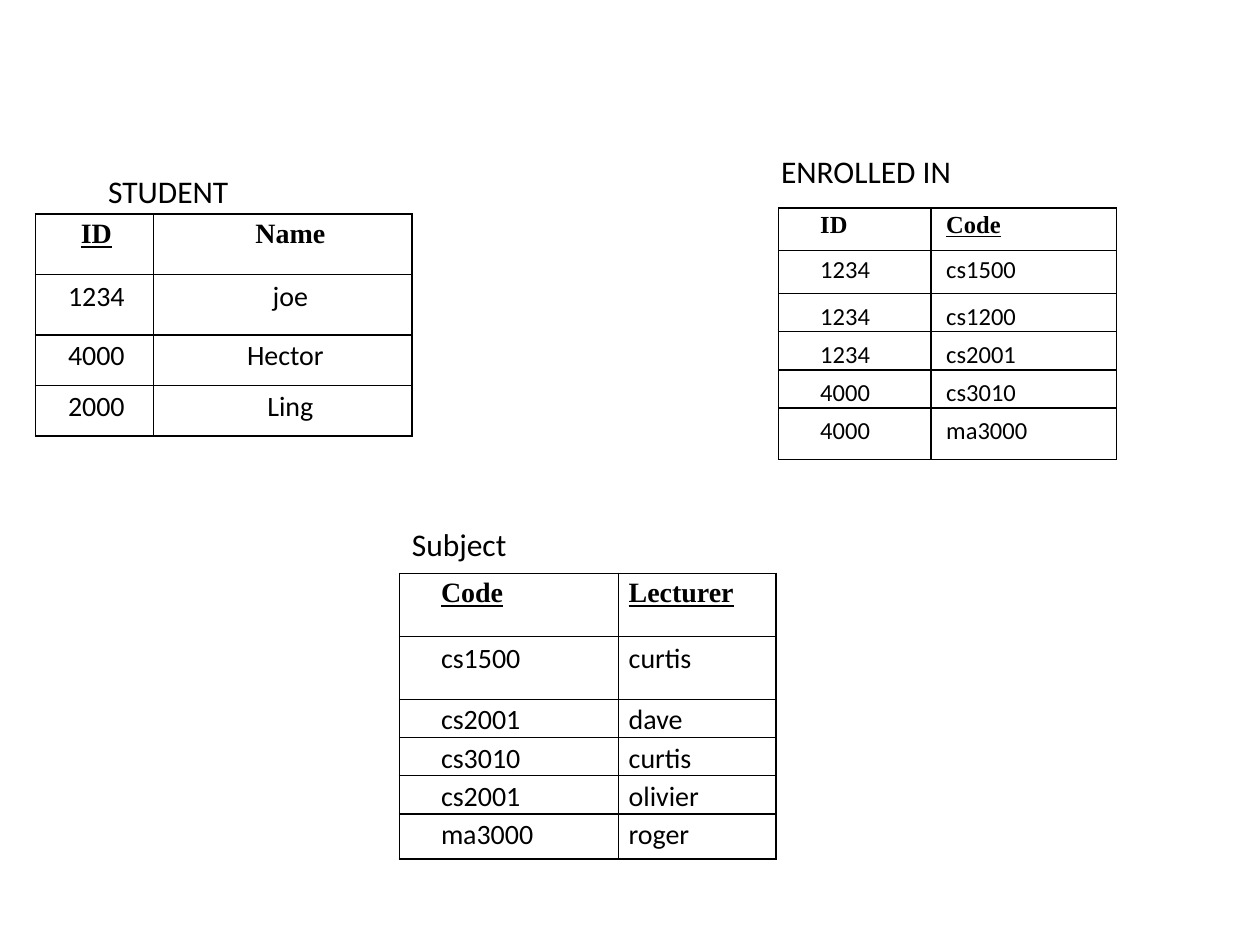
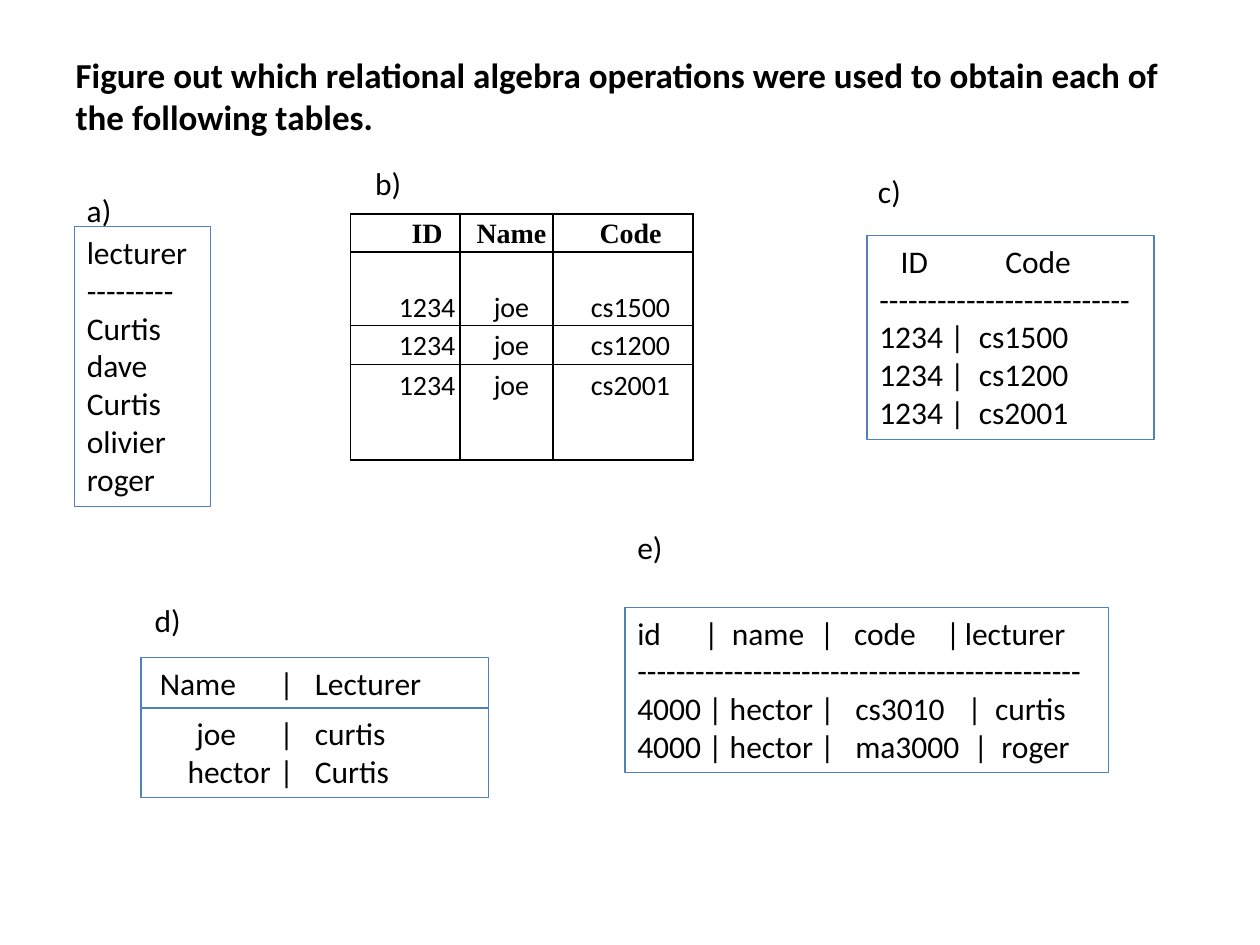
from lxml import etree
from pptx import Presentation
from pptx.dml.color import RGBColor
from pptx.enum.shapes import MSO_SHAPE
from pptx.enum.text import MSO_ANCHOR, MSO_AUTO_SIZE, PP_ALIGN
from pptx.oxml.ns import qn
from pptx.util import Inches, Pt

BLACK = RGBColor(0x00, 0x00, 0x00)
BLUE = RGBColor(0x4F, 0x81, 0xBD)
BODY_FONT = "Calibri"
HEADER_FONT = "Times New Roman"
LEFT, CENTER = PP_ALIGN.LEFT, PP_ALIGN.CENTER
TOP, MIDDLE = MSO_ANCHOR.TOP, MSO_ANCHOR.MIDDLE
NO_AUTOFIT = MSO_AUTO_SIZE.NONE
RECTANGLE = MSO_SHAPE.RECTANGLE
TITLE_ONLY, BLANK = 5, 6
LABEL_HEIGHT = 0.4
TIGHT_TOP = 0.15

STUDENT = {
    "at": (0.28, 1.7), "columns": (0.94, 2.05), "heights": (0.48, 0.48, 0.4, 0.4),
    "indents": (0.03, 0.12), "align": CENTER, "size": 16, "keys": ("ID",),
    "rows": [("ID", "Name"), ("1234", "joe"), ("4000", "Hector"), ("2000", "Ling")],
    "indent_overrides": {"Hector": 0.04},
}
ENROLLED_IN = {
    "at": (6.18, 1.65), "columns": (1.21, 1.47),
    "heights": (0.34, 0.34, 0.3, 0.3, 0.3, 0.41),
    "indents": (0.33, 0.12), "align": LEFT, "size": 14, "keys": ("Code",),
    "rows": [("ID", "Code"), ("1234", "cs1500"), ("1234", "cs1200"),
             ("1234", "cs2001"), ("4000", "cs3010"), ("4000", "ma3000")],
}
SUBJECT = {
    "at": (3.17, 4.55), "columns": (1.74, 1.25),
    "heights": (0.5, 0.5, 0.3, 0.3, 0.3, 0.36),
    "indents": (0.33, 0.08), "align": LEFT, "size": 16, "keys": ("Code", "Lecturer"),
    "rows": [("Code", "Lecturer"), ("cs1500", "curtis"), ("cs2001", "dave"),
             ("cs3010", "curtis"), ("cs2001", "olivier"), ("ma3000", "roger")],
}
JOINED = {
    "at": (2.78, 1.7), "columns": (0.87, 0.74, 1.11), "heights": (0.3, 0.58, 0.31, 0.76),
    "indents": (0.35, 0.08, 0.12), "align": CENTER, "size": 16, "keys": (),
    "rows": [("ID", "Name", "Code"), ("1234", "joe", "cs1500"),
             ("1234", "joe", "cs1200"), ("1234", "joe", "cs2001")],
    "first_row_top": 0.27,
}
RELATION_LABELS = [
    ("ENROLLED IN", 6.1, 1.16, 1.65),
    ("STUDENT", 0.76, 1.32, 1.65),
    ("Subject", 3.17, 4.12, 1.65),
]

QUESTION = ("Figure out which relational algebra operations were used to obtain "
            "each of the following tables.")
ANSWER_LABELS = [
    ("a)", 0.59, 1.47, 0.47),
    ("d)", 1.13, 4.72, 0.47),
    ("c)", 6.87, 1.32, 0.47),
    ("b)", 2.88, 1.25, 0.47),
    ("e)", 4.96, 4.14, 0.47),
]
ANSWER_BOXES = [
    ((0.59, 1.8, 1.08, 2.22),
     [(line, ()) for line in
      ("lecturer", "-" * 9, "Curtis", "dave", "Curtis", "olivier", "roger")]),
    ((6.88, 1.87, 2.28, 1.62),
     [("\tID\tCode", (0.17, 1.0)), ("-" * 26, ())]
     + [(f"1234 |\t{code}", (0.79,)) for code in ("cs1500", "cs1200", "cs2001")]),
    ((1.12, 5.62, 2.76, 0.71),
     [("\tjoe\t|\tcurtis", (0.34, 1.0, 1.28)),
      ("\thector\t|\tCurtis", (0.27, 1.0, 1.28))]),
    ((1.12, 5.22, 2.76, 0.4), [("\tName\t|\tLecturer", (0.05, 1.0, 1.28))]),
    ((4.96, 4.82, 3.84, 1.31),
     [("id\t|\tname\t|\tcode\t|\tlecturer", (0.53, 0.75, 1.45, 1.72, 2.45, 2.6)),
      ("-" * 46, ()),
      ("4000 | hector |\tcs3010\t|\tcurtis", (1.73, 2.62, 2.84)),
      ("4000 | hector |\tma3000\t|\troger", (1.73, 2.67, 2.89))]),
]


def format_paragraph(paragraph, size, align=LEFT, name=BODY_FONT, bold=False):
    paragraph.alignment = align
    font = paragraph.font
    font.name, font.size, font.bold = name, Pt(size), bold
    font.color.rgb = BLACK


def set_tabs(paragraph, stops):
    tab_list = etree.SubElement(paragraph._p.get_or_add_pPr(), qn("a:tabLst"))
    for stop in stops:
        etree.SubElement(tab_list, qn("a:tab"), pos=str(Inches(stop)), algn="l")


def add_borders(cell):
    properties = cell._tc.get_or_add_tcPr()
    for side in ("lnL", "lnR", "lnT", "lnB"):
        border = etree.SubElement(properties, qn(f"a:{side}"), w=str(Pt(1)))
        fill = etree.SubElement(border, qn("a:solidFill"))
        etree.SubElement(fill, qn("a:srgbClr"), val=str(BLACK))


def fill_cell(cell, text, relation, row, column):
    add_borders(cell)
    cell.fill.background()
    cell.margin_left = cell.margin_right = cell.margin_bottom = 0
    tight = row > 1
    first_top = relation.get("first_row_top", 0) if row == 1 else 0
    cell.margin_top = Inches(TIGHT_TOP if tight else first_top)
    cell.text = text
    paragraph = cell.text_frame.paragraphs[0]
    indent = relation.get("indent_overrides", {}).get(text, relation["indents"][column])
    paragraph._p.get_or_add_pPr().set("marL", str(Inches(indent)))
    paragraph.line_spacing = Pt(11) if tight else 1.15
    header = row == 0
    format_paragraph(paragraph, relation["size"], relation["align"],
                     HEADER_FONT if header else BODY_FONT, header)
    paragraph.font.underline = header and text in relation["keys"]


def add_relation(slide, relation):
    rows, columns, heights = relation["rows"], relation["columns"], relation["heights"]
    left, top = relation["at"]
    table = slide.shapes.add_table(len(rows), len(columns), Inches(left), Inches(top),
                                   Inches(sum(columns)), Inches(sum(heights))).table
    table.first_row = table.horz_banding = False
    for column, width in zip(table.columns, columns):
        column.width = Inches(width)
    for r, (values, height) in enumerate(zip(rows, heights)):
        table.rows[r].height = Inches(height)
        for c, value in enumerate(values):
            fill_cell(table.cell(r, c), value, relation, r, c)


def add_labels(slide, labels):
    for text, left, top, width in labels:
        label = slide.shapes.add_textbox(Inches(left), Inches(top),
                                         Inches(width), Inches(LABEL_HEIGHT))
        label.text_frame.word_wrap = True
        label.text_frame.text = text
        format_paragraph(label.text_frame.paragraphs[0], 18)


def add_answer_box(slide, bounds, lines):
    box = slide.shapes.add_shape(RECTANGLE, *map(Inches, bounds))
    box.shadow.inherit = False
    box.fill.background()
    box.line.color.rgb = BLUE
    box.line.width = Pt(0.75)
    frame = box.text_frame
    frame.word_wrap = True
    frame.vertical_anchor = TOP
    frame.text = "\n".join(text for text, _ in lines)
    for paragraph, (_, stops) in zip(frame.paragraphs, lines):
        if stops:
            set_tabs(paragraph, stops)
        format_paragraph(paragraph, 18)


def add_question(slide):
    title = slide.shapes.title
    title.left, title.top, title.width, title.height = map(Inches, (0.5, 0.3, 9, 1.25))
    frame = title.text_frame
    frame.auto_size = NO_AUTOFIT
    frame.vertical_anchor = MIDDLE
    frame.margin_bottom = Inches(0.38)
    frame.text = QUESTION
    format_paragraph(frame.paragraphs[0], 20, bold=True)


def main():
    deck = Presentation()
    deck.slide_width, deck.slide_height = Inches(10), Inches(7.5)

    relations = deck.slides.add_slide(deck.slide_layouts[BLANK])
    for relation in (STUDENT, ENROLLED_IN, SUBJECT):
        add_relation(relations, relation)
    add_labels(relations, RELATION_LABELS)

    exercise = deck.slides.add_slide(deck.slide_layouts[TITLE_ONLY])
    add_question(exercise)
    add_relation(exercise, JOINED)
    for bounds, lines in ANSWER_BOXES:
        add_answer_box(exercise, bounds, lines)
    add_labels(exercise, ANSWER_LABELS)

    deck.save("out.pptx")


if __name__ == "__main__":
    main()
